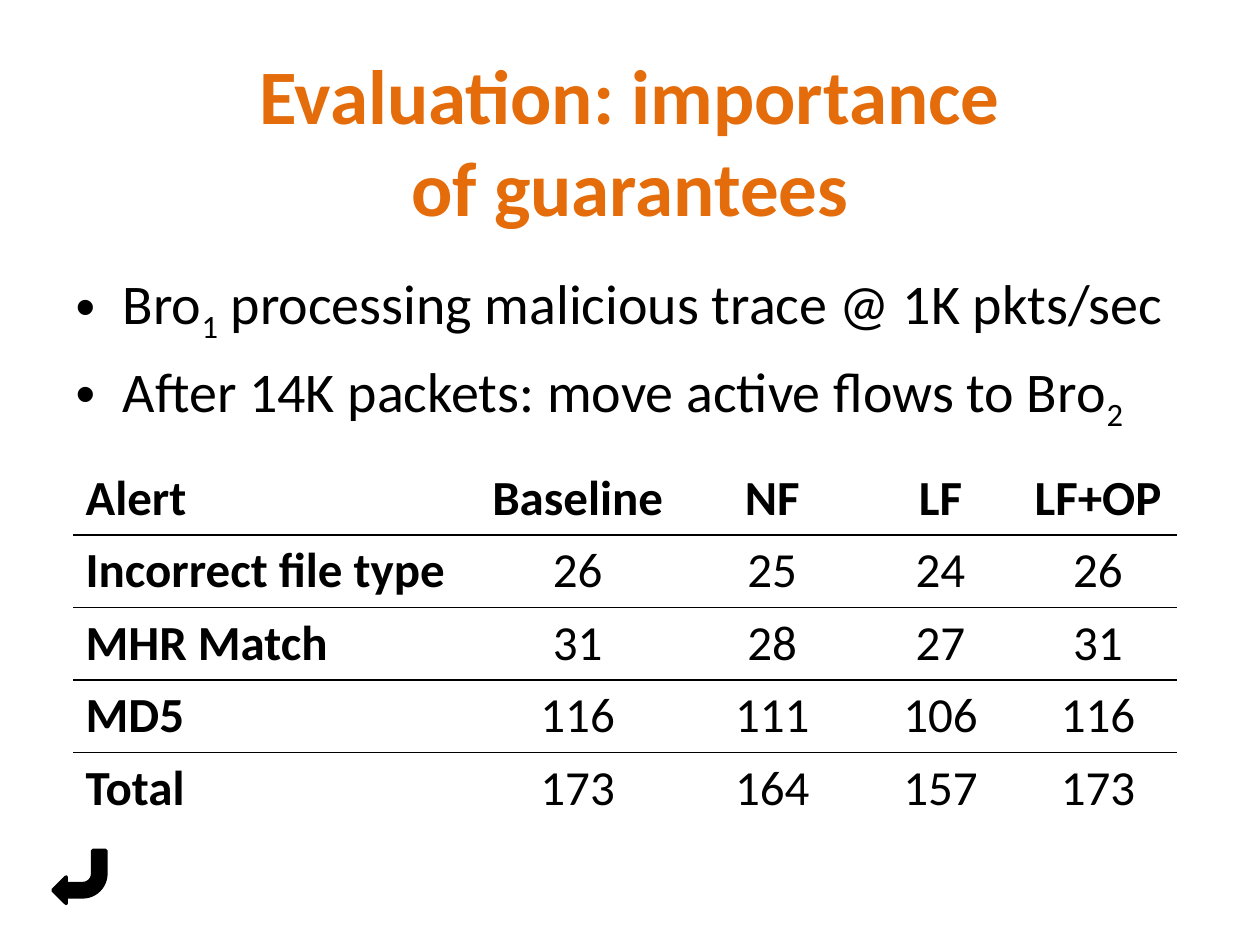
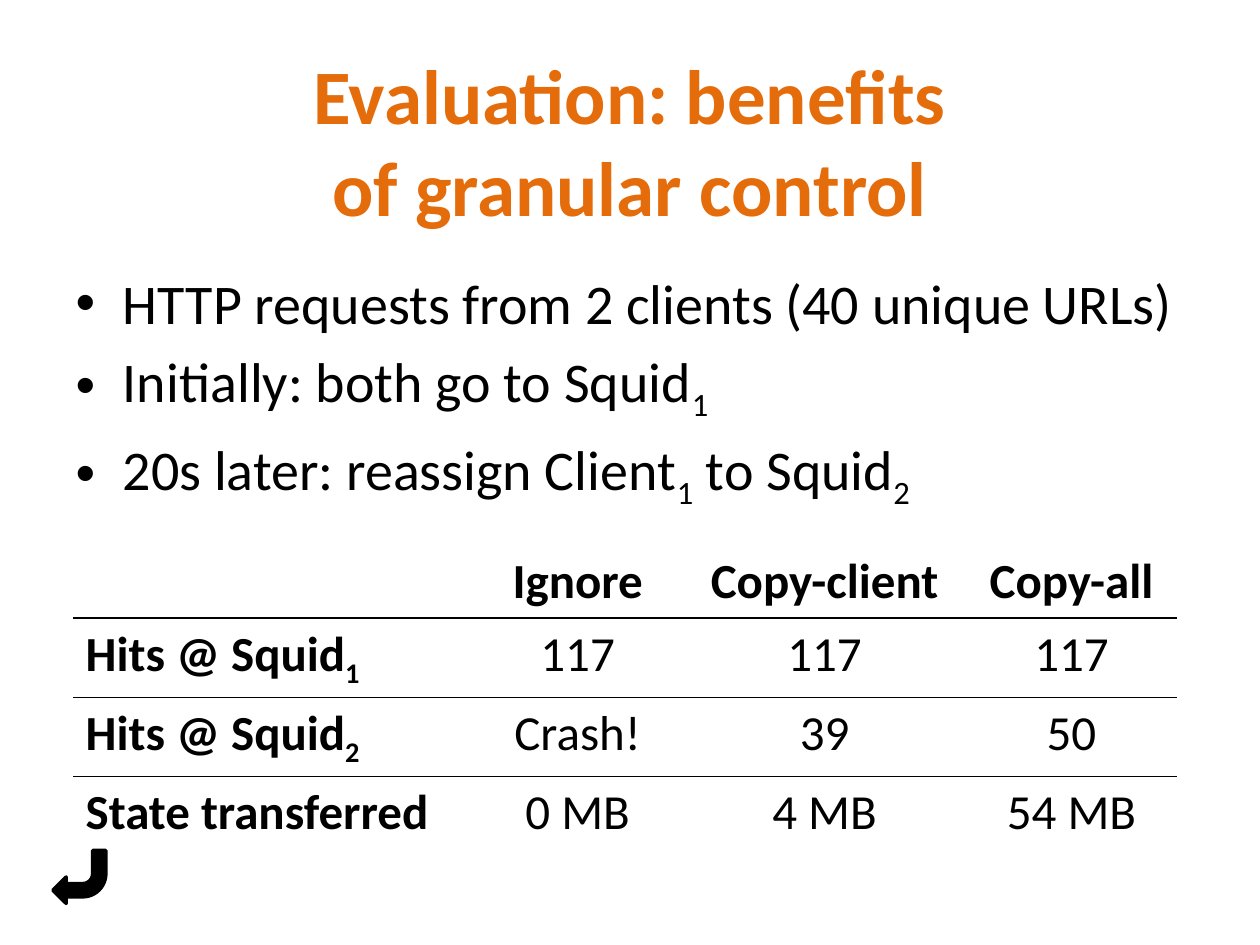
"""Build two evaluation slides, each with a title, bullets and a results table."""
from lxml import etree
from pptx import Presentation
from pptx.dml.color import RGBColor
from pptx.enum import shapes, text
from pptx.oxml import ns
from pptx.util import Inches, Pt

ORANGE = RGBColor(0xE4, 0x6C, 0x0A)
BLACK = RGBColor(0, 0, 0)
FONT = "Calibri"
NO_STYLE = "{2D5ABB26-0587-4C30-8999-92F81FD0307C}"
ROW_HEIGHT = 0.57

SLIDES = [
    dict(
        title="Evaluation: importance\nof guarantees",
        bullets=["Bro_1_ processing malicious trace @ 1K pkts/sec",
                 "After 14K packets: move active flows to Bro_2_"],
        top=3.67,
        widths=[3.17, 1.67, 1.42, 1.25, 1.25],
        ruled_rows=[0, 1, 3],
        rows=[["Alert", "Baseline", "NF", "LF", "LF+OP"],
              ["Incorrect file type", "26", "25", "24", "26"],
              ["MHR Match", "31", "28", "27", "31"],
              ["MD5", "116", "111", "106", "116"],
              ["Total", "173", "164", "157", "173"]],
    ),
    dict(
        title="Evaluation: benefits\nof granular control",
        bullets=["HTTP requests from 2 clients (40 unique URLs)",
                 "Initially: both go to Squid_1_",
                 "20s later: reassign Client_1_ to Squid_2_"],
        top=4.33,
        widths=[3.17, 1.67, 2.25, 1.67],
        ruled_rows=[0, 1],
        rows=[["", "Ignore", "Copy-client", "Copy-all"],
              ["Hits @ Squid_1_", "117", "117", "117"],
              ["Hits @ Squid_2_", "Crash!", "39", "50"],
              ["State transferred", "0 MB", "4 MB", "54 MB"]],
    ),
]


def write(p, content, size, color=BLACK, bold=False, align=text.PP_ALIGN.LEFT):
    """Fill a paragraph; text between underscores becomes subscript."""
    p.alignment = align
    p.font.size = Pt(size)
    for i, part in enumerate(content.split("_")):
        for j, line in enumerate(part.split("\n")):
            if j:
                p.add_line_break()
            if not line:
                continue
            r = p.add_run()
            r.text = line
            r.font.name, r.font.size, r.font.bold = FONT, Pt(size), bold
            r.font.color.rgb = color
            if i % 2:
                r.font._element.set("baseline", "-25000")


def rule(cell, side):
    """Draw a thin black border on one side of a cell."""
    ln = etree.Element(ns.qn(f"a:{side}"), w=str(Pt(1)))
    fill = etree.SubElement(ln, ns.qn("a:solidFill"))
    etree.SubElement(fill, ns.qn("a:srgbClr"), val=str(BLACK))
    cell._tc.get_or_add_tcPr().insert(0, ln)


prs = Presentation()
prs.slide_width, prs.slide_height = Inches(10), Inches(7.5)

for content in SLIDES:
    s = prs.slides.add_slide(prs.slide_layouts[1])
    title, body = s.placeholders
    for sp, top, height in ((title, 0.3, 1.62), (body, 2.08, 4.62)):
        sp.left, sp.top = Inches(0.5), Inches(top)
        sp.width, sp.height = Inches(9), Inches(height)
        sp.text_frame.auto_size = text.MSO_AUTO_SIZE.NONE

    title.text_frame.vertical_anchor = text.MSO_ANCHOR.MIDDLE
    write(title.text_frame.paragraphs[0], content["title"], 44, color=ORANGE,
          bold=True, align=text.PP_ALIGN.CENTER)

    tf = body.text_frame
    for i, bullet in enumerate(content["bullets"]):
        p = tf.add_paragraph() if i else tf.paragraphs[0]
        p.space_before = Pt(6.4 if i else 0)
        write(p, bullet, 32)

    rows, widths = content["rows"], content["widths"]
    frame = s.shapes.add_table(len(rows), len(widths), Inches(0.58), Inches(content["top"]),
                               Inches(sum(widths)), Inches(ROW_HEIGHT * len(rows)))
    table = frame.table
    table.first_row = table.horz_banding = False
    table._tbl.tblPr.find(ns.qn("a:tableStyleId")).text = NO_STYLE
    for column, width in zip(table.columns, widths):
        column.width = Inches(width)
    for y, row in enumerate(rows):
        table.rows[y].height = Inches(ROW_HEIGHT)
        for x, value in enumerate(row):
            cell = table.cell(y, x)
            cell.fill.background()
            write(cell.text_frame.paragraphs[0], value, 28, bold=y == 0 or x == 0,
                  align=text.PP_ALIGN.CENTER if x else text.PP_ALIGN.LEFT)
            if y in content["ruled_rows"]:
                rule(cell, "lnB")
            if y - 1 in content["ruled_rows"]:
                rule(cell, "lnT")

    arrow = s.shapes.add_shape(shapes.MSO_SHAPE.BENT_ARROW, Inches(0.42), Inches(6.75),
                               Inches(0.42), Inches(0.42))
    arrow.rotation = 180
    arrow.shadow.inherit = False
    arrow.fill.solid()
    arrow.fill.fore_color.rgb = BLACK
    arrow.line.color.rgb = BLACK
    arrow.line.width = Pt(2)

prs.save("out.pptx")
